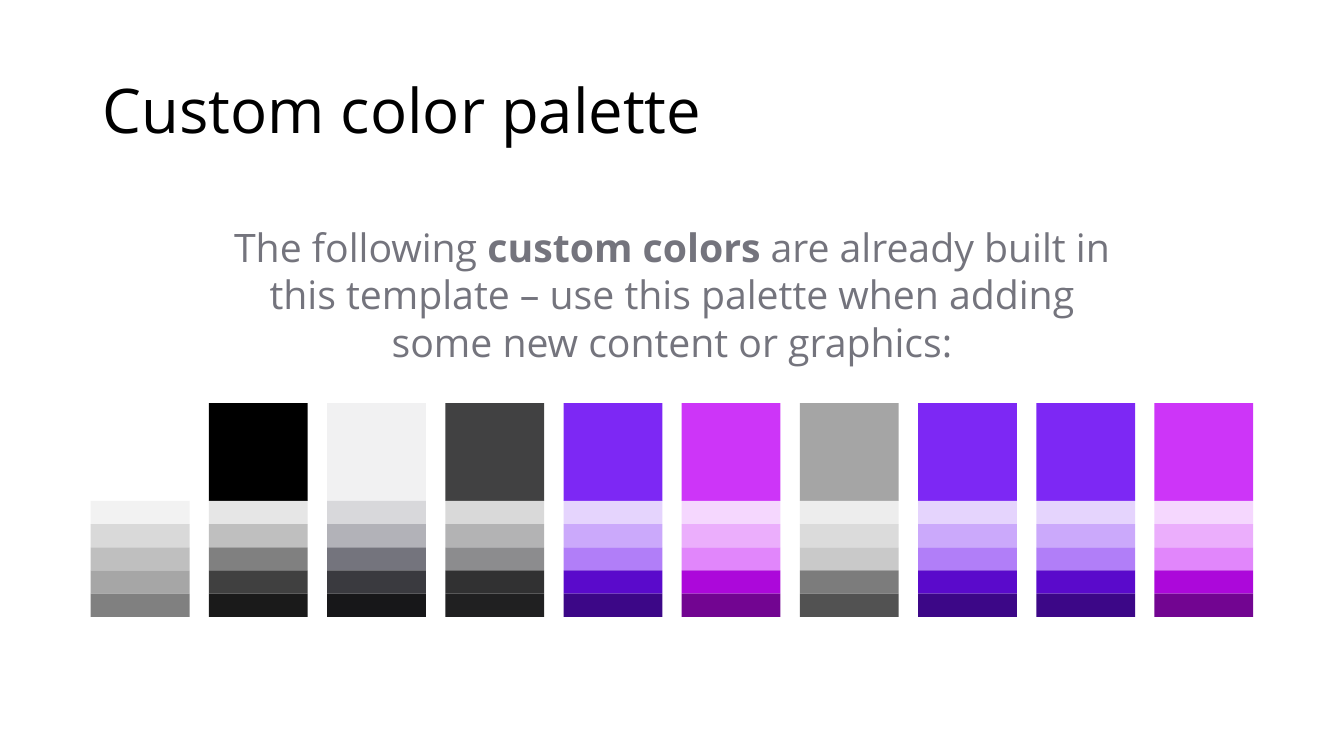
from pptx import Presentation
from pptx.dml.color import RGBColor
from pptx.enum.shapes import MSO_SHAPE
from pptx.enum.text import MSO_ANCHOR, PP_ALIGN
from pptx.util import Inches, Pt

RECTANGLE = MSO_SHAPE.RECTANGLE
TOP, MIDDLE = MSO_ANCHOR.TOP, MSO_ANCHOR.MIDDLE
LEFT, CENTER = PP_ALIGN.LEFT, PP_ALIGN.CENTER

# Content: text as (words, bold) runs
TITLE = [("Custom color palette", False)]
INTRO = [
    ("The following ", False),
    ("custom colors ", True),
    ("are already built in this template – use this palette when adding "
     "some new content or graphics:", False),
]
FONT = "Open Sans"
TEXT_COLORS = {"title": "000000", "intro": "74747D"}

# Each theme color: the base first, then its five tints and shades
THEME_COLORS = {
    "white": ["FFFFFF", "F2F2F2", "D9D9D9", "BFBFBF", "A6A6A6", "808080"],
    "black": ["000000", "E6E6E6", "BFBFBF", "808080", "404040", "1A1A1A"],
    "pale": ["F1F1F2", "D8D8DB", "B2B2B8", "74747D", "3A3A3F", "171719"],
    "charcoal": ["414142", "D9D9D9", "B3B3B4", "8C8C8E", "313132", "202021"],
    "violet": ["7D28F4", "E5D4FD", "CBA9FB", "B17EF8", "5A0ACB", "3C0787"],
    "magenta": ["CD35F8", "F5D7FE", "EBAEFC", "E186FB", "AC08DA", "720591"],
    "gray": ["A5A5A5", "EDEDED", "DBDBDB", "C9C9C9", "7C7C7C", "525252"],
}
PALETTE = ["white", "black", "pale", "charcoal", "violet", "magenta",
           "gray", "violet", "violet", "magenta"]

# Palette grid, in inches
GRID_LEFT, GRID_RIGHT, GRID_TOP = 0.9, 12.43, 4
SWATCH_WIDTH, BASE_HEIGHT, TINT_HEIGHT = 0.98, 0.97, 0.23
COLUMN_STEP = (GRID_RIGHT - GRID_LEFT - SWATCH_WIDTH) / (len(PALETTE) - 1)

presentation = Presentation()
presentation.slide_width = Inches(13.33)
presentation.slide_height = Inches(7.5)
slide = presentation.slides.add_slide(presentation.slide_layouts[6])


def add_text(runs, box, size, color, align, anchor, spacing):
    frame = slide.shapes.add_textbox(*map(Inches, box)).text_frame
    frame.word_wrap = True
    frame.vertical_anchor = anchor
    paragraph = frame.paragraphs[0]
    paragraph.alignment = align
    paragraph.line_spacing = spacing
    paragraph.font.name = FONT
    paragraph.font.size = Pt(size)
    paragraph.font.color.rgb = RGBColor.from_string(color)
    for words, bold in runs:
        run = paragraph.add_run()
        run.text = words
        if bold:
            run.font.bold = True


def add_swatch(left, top, height, color):
    swatch = slide.shapes.add_shape(
        RECTANGLE, *map(Inches, (left, top, SWATCH_WIDTH, height)))
    swatch.shadow.inherit = False
    swatch.fill.solid()
    swatch.fill.fore_color.rgb = RGBColor.from_string(color)
    swatch.line.fill.background()


# Title and introduction
add_text(TITLE, (0.92, 0.4, 11.5, 1.45), 44, TEXT_COLORS["title"],
         LEFT, MIDDLE, 0.9)
add_text(INTRO, (2.07, 2.17, 9.19, 1.51), 28, TEXT_COLORS["intro"],
         CENTER, TOP, 1.0)

# Palette: one column per theme color
for column, name in enumerate(PALETTE):
    left = GRID_LEFT + column * COLUMN_STEP
    base, *tints = THEME_COLORS[name]
    add_swatch(left, GRID_TOP, BASE_HEIGHT, base)
    for row, tint in enumerate(tints):
        top = GRID_TOP + BASE_HEIGHT + row * TINT_HEIGHT
        add_swatch(left, top, TINT_HEIGHT, tint)

presentation.save("out.pptx")
